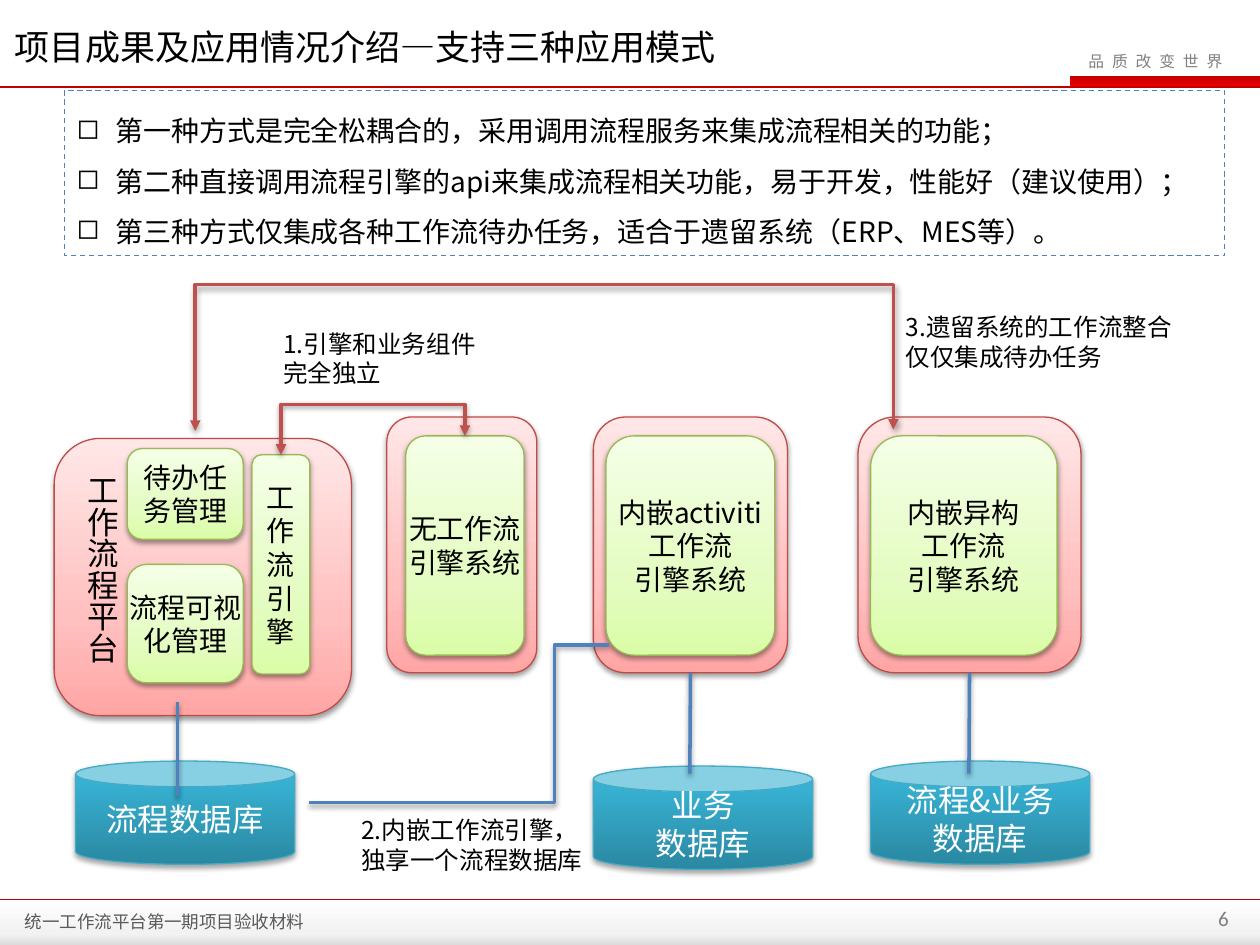
from dataclasses import dataclass
from typing import NamedTuple, Optional

from lxml import etree
from pptx import Presentation
from pptx import util as u
from pptx.dml.color import RGBColor
from pptx.enum import dml, shapes, text
from pptx.oxml.ns import qn

WIDTH, HEIGHT = u.Inches(10), u.Inches(7.5)
COLUMNS, ROWS = 100, 75
CJK = "Noto Sans CJK SC"

BLACK = RGBColor(0x00, 0x00, 0x00)
WHITE = RGBColor(0xFF, 0xFF, 0xFF)
GREY = RGBColor(0x80, 0x80, 0x80)
DARK_GREY = RGBColor(0x59, 0x59, 0x59)
SILVER = RGBColor(0xF2, 0xF2, 0xF2)
ASH = RGBColor(0xDC, 0xDC, 0xDC)
CRIMSON = RGBColor(0xC0, 0x00, 0x00)
SCARLET = RGBColor(0xEE, 0x00, 0x00)
BRICK = RGBColor(0xC0, 0x50, 0x4D)
BLUE = RGBColor(0x4F, 0x81, 0xBD)


class Area(NamedTuple):
    left: float
    top: float
    width: float
    height: float


class Point(NamedTuple):
    x: float
    y: float


class Stop(NamedTuple):
    position: int
    color: RGBColor


@dataclass(frozen=True)
class Look:
    geometry: shapes.MSO_SHAPE
    stops: tuple[Stop, ...]
    angle: int = 270
    edge: Optional[RGBColor] = None
    shade: int = 0
    size: float = 16
    ink: RGBColor = BLACK


@dataclass(frozen=True)
class Label:
    area: Area
    wording: str
    size: float = 14
    ink: RGBColor = BLACK
    font: str = CJK
    wrap: bool = True
    anchor: text.MSO_ANCHOR = text.MSO_ANCHOR.TOP
    align: Optional[text.PP_ALIGN] = None
    leading: Optional[int] = None
    tracking: int = 0
    vertical: bool = False


PANEL = Look(shapes.MSO_SHAPE.ROUNDED_RECTANGLE,
             (Stop(0, RGBColor(0xFF, 0xA6, 0xA5)), Stop(35, RGBColor(0xFF, 0xC0, 0xBF)),
              Stop(100, RGBColor(0xFF, 0xE7, 0xE7))), edge=RGBColor(0xBF, 0x4C, 0x48), shade=38)
MODULE = Look(shapes.MSO_SHAPE.ROUNDED_RECTANGLE,
              (Stop(0, RGBColor(0xDA, 0xFD, 0xA7)), Stop(35, RGBColor(0xE4, 0xFC, 0xC2)),
               Stop(100, RGBColor(0xF5, 0xFF, 0xE7))), edge=RGBColor(0x98, 0xB9, 0x55), shade=38)
DATABASE = Look(shapes.MSO_SHAPE.CAN,
                (Stop(0, RGBColor(0x2A, 0x88, 0xA2)), Stop(80, RGBColor(0x37, 0xB1, 0xD2)),
                 Stop(100, RGBColor(0x34, 0xB4, 0xD6))), edge=RGBColor(0x46, 0xAA, 0xC5),
                shade=35, size=18, ink=WHITE)
HEADER_BAR = Look(shapes.MSO_SHAPE.RECTANGLE, (Stop(0, CRIMSON), Stop(100, SCARLET)), 90)
FOOTER_BAR = Look(shapes.MSO_SHAPE.RECTANGLE,
                  (Stop(0, WHITE), Stop(75, SILVER), Stop(100, ASH)), 90)

PANEL_TOP, PANEL_HEIGHT = 33.1, 20.3
MODULE_TOP, MODULE_HEIGHT = 34.6, 17.4
DATABASE_WIDTH, DATABASE_HEIGHT = 17.4, 8.2
FOOTER_TOP = 71.4


def col(columns: float) -> int:
    return round(WIDTH * columns / COLUMNS)


def row(rows: float) -> int:
    return round(HEIGHT * rows / ROWS)


def place(area: Area) -> tuple[int, int, int, int]:
    return col(area.left), row(area.top), col(area.width), row(area.height)


def add_run(paragraph, wording: str, size: float, ink: RGBColor, font: str = CJK):
    run = paragraph.add_run()
    run.text = wording
    run.font.size = u.Pt(size)
    run.font.name = font
    run.font.color.rgb = ink
    etree.SubElement(run.font._element, qn("a:ea"), typeface=font)
    return run


def cast_shadow(effects, alpha: int) -> None:
    outer = etree.SubElement(effects, qn("a:outerShdw"), blurRad=str(u.Pt(3.1)),
                             dist=str(u.Pt(1.6)), dir="5400000", rotWithShape="0")
    black = etree.SubElement(outer, qn("a:srgbClr"), val=str(BLACK))
    etree.SubElement(black, qn("a:alpha"), val=str(alpha * 1000))


def draw_block(slide, area: Area, look: Look, *lines: str):
    block = slide.shapes.add_shape(look.geometry, *place(area))
    block.fill.gradient()
    properties = block._element.spPr
    gradient = properties.find(qn("a:gradFill"))
    stop_list = gradient.find(qn("a:gsLst"))
    for old in list(stop_list):
        stop_list.remove(old)
    for stop in look.stops:
        mark = etree.SubElement(stop_list, qn("a:gs"), pos=str(stop.position * 1000))
        etree.SubElement(mark, qn("a:srgbClr"), val=str(stop.color))
    gradient.find(qn("a:lin")).set("ang", str(look.angle * 60000))
    if look.edge:
        block.line.color.rgb = look.edge
        block.line.width = u.Pt(0.75)
    else:
        block.line.fill.background()
    block.shadow.inherit = False
    if look.shade:
        cast_shadow(properties.find(qn("a:effectLst")), look.shade)
    frame = block.text_frame
    frame.word_wrap = False
    frame.vertical_anchor = text.MSO_ANCHOR.MIDDLE
    for number, wording in enumerate(lines):
        paragraph = frame.add_paragraph() if number else frame.paragraphs[0]
        paragraph.alignment = text.PP_ALIGN.CENTER
        add_run(paragraph, wording, look.size, look.ink)
    return block


def draw_label(slide, label: Label) -> None:
    frame = slide.shapes.add_textbox(*place(label.area)).text_frame
    frame.word_wrap = label.wrap
    frame.vertical_anchor = label.anchor
    if label.vertical:
        frame._txBody.bodyPr.set("vert", "eaVert")
    paragraph = frame.paragraphs[0]
    paragraph.alignment = label.align
    if label.leading:
        paragraph.line_spacing = u.Pt(label.leading)
    run = add_run(paragraph, label.wording, label.size, label.ink, label.font)
    if label.tracking:
        run.font._element.set("spc", str(label.tracking))


def draw_line(slide, start: Point, end: Point, ink: RGBColor, width: float = 2,
              kind=shapes.MSO_CONNECTOR.STRAIGHT, shade: int = 38, heads: bool = False):
    line = slide.shapes.add_connector(kind, col(start.x), row(start.y), col(end.x), row(end.y))
    line.line.color.rgb = ink
    line.line.width = u.Pt(width)
    if heads:
        for side in ("a:headEnd", "a:tailEnd"):
            etree.SubElement(line.line._ln, qn(side), type="triangle")
    effects = etree.SubElement(line._element.spPr, qn("a:effectLst"))
    if shade:
        cast_shadow(effects, shade)
    return line


def set_bend(line, share: float) -> None:
    guides = line._element.spPr.find(qn("a:prstGeom")).get_or_add_avLst()
    etree.SubElement(guides, qn("a:gd"), name="adj1", fmla=f"val {round(share * 100000)}")


def draw_arch(slide, start: Point, end: Point, top: float) -> None:
    x, y = (start.x + end.x) / 2, (start.y + end.y) / 2
    drop, span = start.y - end.y, end.x - start.x
    arch = draw_line(slide, Point(x + drop / 2, y + span / 2), Point(x - drop / 2, y - span / 2),
                     BRICK, kind=shapes.MSO_CONNECTOR.ELBOW, heads=True)
    arch._element.spPr.find(qn("a:xfrm")).set("rot", "5400000")
    set_bend(arch, (start.y - top) / drop)


def draw_summary(slide, area: Area, *points: str) -> None:
    summary = slide.shapes.add_shape(shapes.MSO_SHAPE.RECTANGLE, *place(area))
    summary.shadow.inherit = False
    summary.fill.solid()
    summary.fill.fore_color.rgb = WHITE
    summary.line.color.rgb = BLUE
    summary.line.width = u.Pt(0.75)
    summary.line.dash_style = dml.MSO_LINE.DASH
    frame = summary.text_frame
    frame.word_wrap = True
    frame.vertical_anchor = text.MSO_ANCHOR.TOP
    for number, wording in enumerate(points):
        paragraph = frame.add_paragraph() if number else frame.paragraphs[0]
        paragraph.alignment = text.PP_ALIGN.LEFT
        paragraph.line_spacing = 1.5
        settings = paragraph._p.get_or_add_pPr()
        settings.set("marL", str(col(3.1)))
        settings.set("indent", str(-col(3.1)))
        etree.SubElement(settings, qn("a:buChar"), char="◻")
        add_run(paragraph, wording, 16, BLACK)


def main() -> None:
    deck = Presentation()
    deck.slide_width, deck.slide_height = WIDTH, HEIGHT
    slide = deck.slides.add_slide(deck.slide_layouts[6])

    draw_block(slide, Area(84.9, 6, 15.1, 0.9), HEADER_BAR)
    draw_label(slide, Label(Area(85.4, 3.6, 13.6, 2.5), "品 质 改 变 世 界", 9, GREY,
                            wrap=False, tracking=125))
    draw_line(slide, Point(0, 6.9), Point(COLUMNS, 6.9), CRIMSON, 1.5, shade=0)
    draw_block(slide, Area(0, FOOTER_TOP, COLUMNS, ROWS - FOOTER_TOP), FOOTER_BAR)
    draw_line(slide, Point(0, FOOTER_TOP), Point(COLUMNS, FOOTER_TOP), CRIMSON, 1, shade=0)
    draw_label(slide, Label(Area(93.8, FOOTER_TOP, 4.7, 4), "6", 12, GREY, "Calibri",
                            align=text.PP_ALIGN.RIGHT))

    draw_block(slide, Area(4.3, 34.8, 23.6, 22), PANEL)
    draw_label(slide, Label(Area(5.1, 36.7, 5, 17.8), "工作流程平台", 18, vertical=True))
    draw_block(slide, Area(10.1, 35.6, 9.2, 7.2), MODULE, "待办任", "务管理")
    draw_block(slide, Area(10.1, 44.8, 9.2, 9.4), MODULE, "流程可视", "化管理")
    draw_block(slide, Area(20, 36.1, 4.6, MODULE_HEIGHT), MODULE, *"工作流引擎")

    systems = []
    for left, width, inner_left, inner_width, lines in (
            (30.7, 11.9, 32.2, 9.4, ("无工作流", "引擎系统")),
            (47.1, 15.4, 48.1, 13.4, ("内嵌activiti", "工作流", "引擎系统")),
            (68.1, 17.7, 69.1, 14.8, ("内嵌异构", "工作流", "引擎系统"))):
        systems.append(draw_block(slide, Area(left, PANEL_TOP, width, PANEL_HEIGHT), PANEL))
        draw_block(slide, Area(inner_left, MODULE_TOP, inner_width, MODULE_HEIGHT), MODULE, *lines)

    for left, top, lines in ((6, 60.4, ("流程数据库",)), (47.1, 60.8, ("业务", "数据库")),
                             (69.1, 60.4, ("流程&业务", "数据库"))):
        draw_block(slide, Area(left, top, DATABASE_WIDTH, DATABASE_HEIGHT), DATABASE, *lines)

    draw_line(slide, Point(14.1, 55.7), Point(14.1, 63.2), BLUE)
    for system, x in zip(systems[1:], (54.75, 76.9)):
        link = draw_line(slide, Point(x, PANEL_TOP + PANEL_HEIGHT), Point(x, 61.4), BLUE)
        link.begin_connect(system, 2)

    draw_arch(slide, Point(22.3, 36.1), Point(36.9, 34.6), 32.1)
    draw_arch(slide, Point(15.5, 34.2), Point(70.9, 34.1), 22.4)
    shared = draw_line(slide, Point(48.3, 51.2), Point(24.5, 63.7), BLUE,
                       kind=shapes.MSO_CONNECTOR.ELBOW)
    set_bend(shared, 0.18)

    for label in (
            Label(Area(21.5, 25.6, 17.9, 5.7), "1.引擎和业务组件完全独立"),
            Label(Area(27.7, 64.2, 20.4, 5.7), "2.内嵌工作流引擎，独享一个流程数据库"),
            Label(Area(70.9, 24.3, 24, 5.7), "3.遗留系统的工作流整合仅仅集成待办任务"),
            Label(Area(0.2, 1.1, 64.8, 4.7), "项目成果及应用情况介绍—支持三种应用模式", 20, leading=27),
            Label(Area(1, 72.1, 32.7, 2.1), "统一工作流平台第一期项目验收材料", 10, DARK_GREY,
                  anchor=text.MSO_ANCHOR.MIDDLE)):
        draw_label(slide, label)

    draw_summary(slide, Area(5.1, 7.2, 92.1, 13.1),
                 "第一种方式是完全松耦合的，采用调用流程服务来集成流程相关的功能；",
                 "第二种直接调用流程引擎的api来集成流程相关功能，易于开发，性能好（建议使用）；",
                 "第三种方式仅集成各种工作流待办任务，适合于遗留系统（ERP、MES等）。")
    deck.save("out.pptx")


if __name__ == "__main__":
    main()
